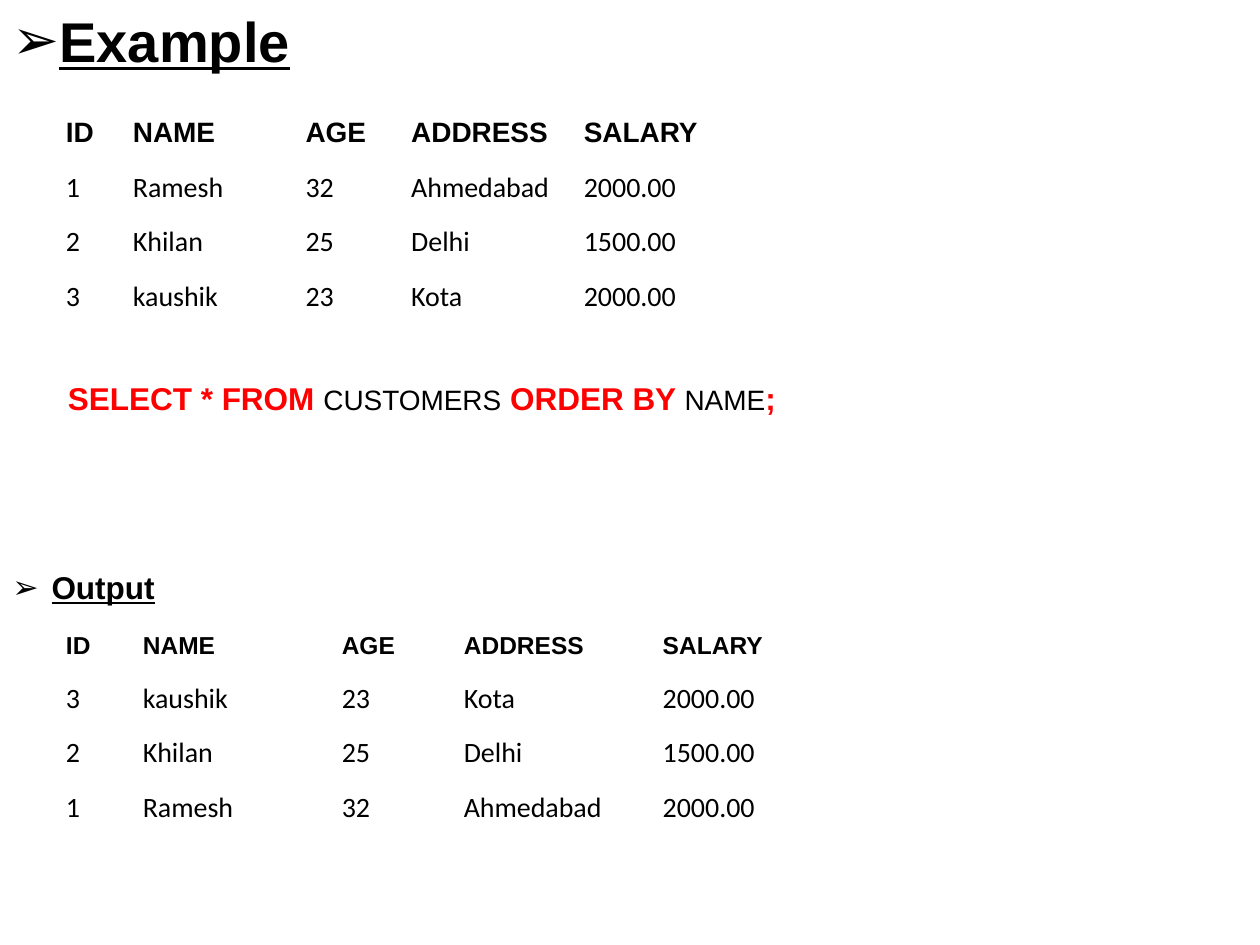
from lxml import etree
from pptx import Presentation
from pptx.dml.color import RGBColor
from pptx.enum.text import MSO_ANCHOR as Anchor
from pptx.oxml.ns import qn
from pptx.util import Cm, Pt

COLORS = {"text": "000000", "keyword": "FF0000"}
HEADING, BODY = "Arial", "Calibri"


class SlideBuilder:
    """Holds the style and the current slide."""

    def __init__(self, slide):
        """Keep the slide that receives the elements."""
        self.slide = slide

    def run(self, paragraph, text, size, font=HEADING, bold=True,
            underline=False, color="text"):
        """Add one styled run."""
        run = paragraph.add_run()
        run.text = text
        run.font.name = font
        run.font.size = Pt(size)
        run.font.bold = bold
        run.font.underline = underline
        run.font.color.rgb = RGBColor.from_string(COLORS[color])

    def text_box(self, left, top, width, height, wrap=False):
        """Add a text box and return its first paragraph."""
        box = self.slide.shapes.add_textbox(Cm(left), Cm(top), Cm(width), Cm(height))
        box.text_frame.word_wrap = wrap
        return box.text_frame.paragraphs[0]

    def heading(self, text, box, size, indent, wrap=False):
        """Add an underlined heading with an arrow bullet."""
        paragraph = self.text_box(*box, wrap=wrap)
        properties = paragraph._p.get_or_add_pPr()
        properties.set("marL", str(Cm(indent)))
        properties.set("indent", str(-Cm(indent)))
        etree.SubElement(properties, qn("a:buFont"), typeface=HEADING)
        etree.SubElement(properties, qn("a:buChar"), char="➢")
        self.run(paragraph, text, size, underline=True)
        return paragraph

    def table(self, top, widths, records, header_size):
        """Add a plain table with a bold header row."""
        row_height = 1
        frame = self.slide.shapes.add_table(
            len(records), len(widths), Cm(1.12), Cm(top),
            Cm(sum(widths)), Cm(row_height * len(records)))
        table = frame.table
        table.first_row = table.horz_banding = False
        for column, width in zip(table.columns, widths):
            column.width = Cm(width)
        for row, record in zip(table.rows, records):
            row.height = Cm(row_height)
            for cell, value in zip(row.cells, record):
                self.cell(cell, value, record is HEADER, header_size)

    def cell(self, cell, value, is_header, header_size):
        """Fill one table cell, without colour or borders."""
        cell.margin_left = cell.margin_right = Cm(0.21)
        cell.margin_top = cell.margin_bottom = Cm(0.21)
        cell.vertical_anchor = Anchor.MIDDLE
        properties = cell._tc.get_or_add_tcPr()
        for side in ("a:lnL", "a:lnR", "a:lnT", "a:lnB"):
            line = etree.SubElement(properties, qn(side))
            etree.SubElement(line, qn("a:noFill"))
        cell.fill.background()
        self.run(cell.text_frame.paragraphs[0], value,
                 header_size if is_header else 16,
                 HEADING if is_header else BODY, is_header)


HEADER = ("ID", "NAME", "AGE", "ADDRESS", "SALARY")
CUSTOMERS = [
    ("1", "Ramesh", "32", "Ahmedabad", "2000.00"),
    ("2", "Khilan", "25", "Delhi", "1500.00"),
    ("3", "kaushik", "23", "Kota", "2000.00"),
]
QUERY = [("SELECT * FROM ", True), ("CUSTOMERS", False), (" ORDER BY ", True),
         ("NAME", False), (";", True)]

presentation = Presentation()
presentation.slide_width, presentation.slide_height = Cm(25.4), Cm(19.05)
builder = SlideBuilder(presentation.slides.add_slide(presentation.slide_layouts[6]))

title = builder.heading("Example", (0, 0, 25.4, 19.05), 32, 0.95, wrap=True)
title.space_before = Pt(6.4)
builder.table(2.13, (1.35, 3.48, 2.13, 3.48, 2.95), [HEADER, *CUSTOMERS], 16)

query = builder.text_box(1.12, 7.52, 14.94, 1.02)
for words, is_keyword in QUERY:
    builder.run(query, words, 18 if is_keyword else 16, bold=is_keyword,
                color="keyword" if is_keyword else "text")

builder.heading("Output", (0, 11.33, 3.4, 1.02), 18, 0.79)
builder.table(12.52, (1.55, 4.01, 2.46, 4.01, 3.38), [HEADER, *reversed(CUSTOMERS)], 14)

presentation.save("out.pptx")
